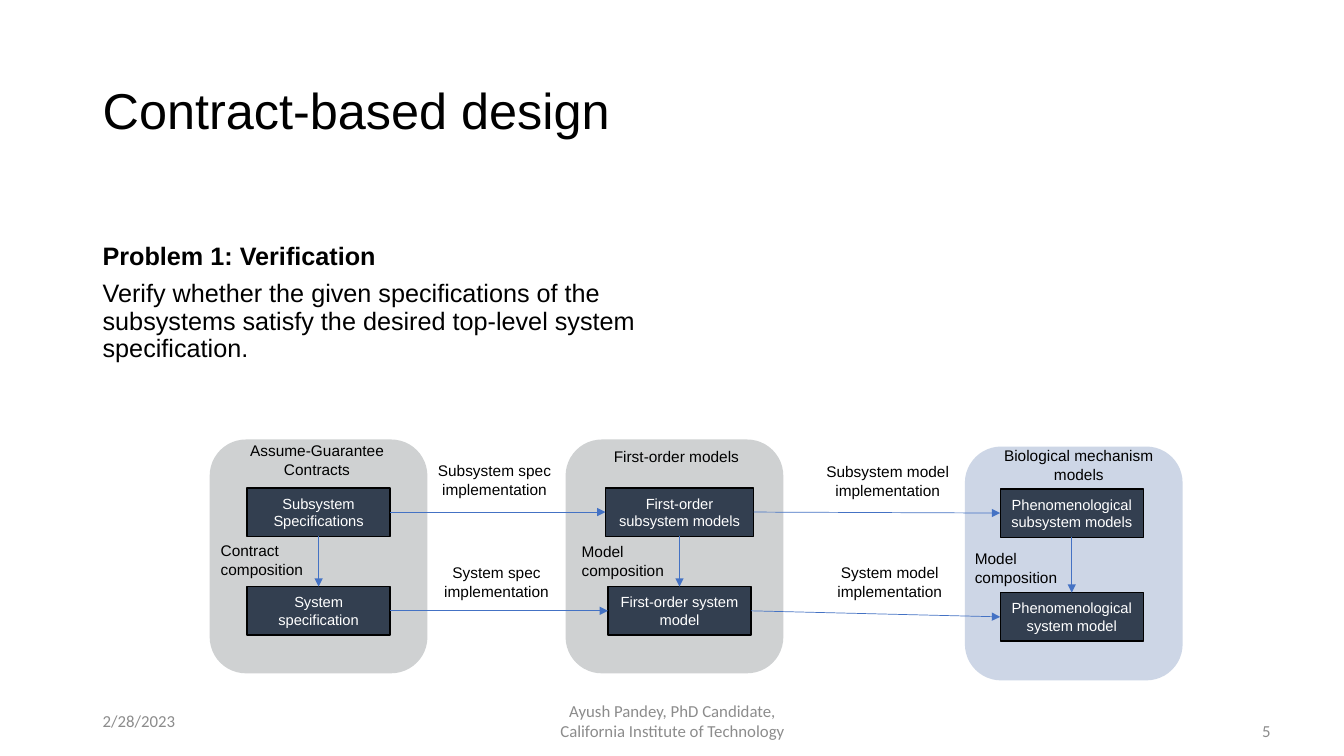
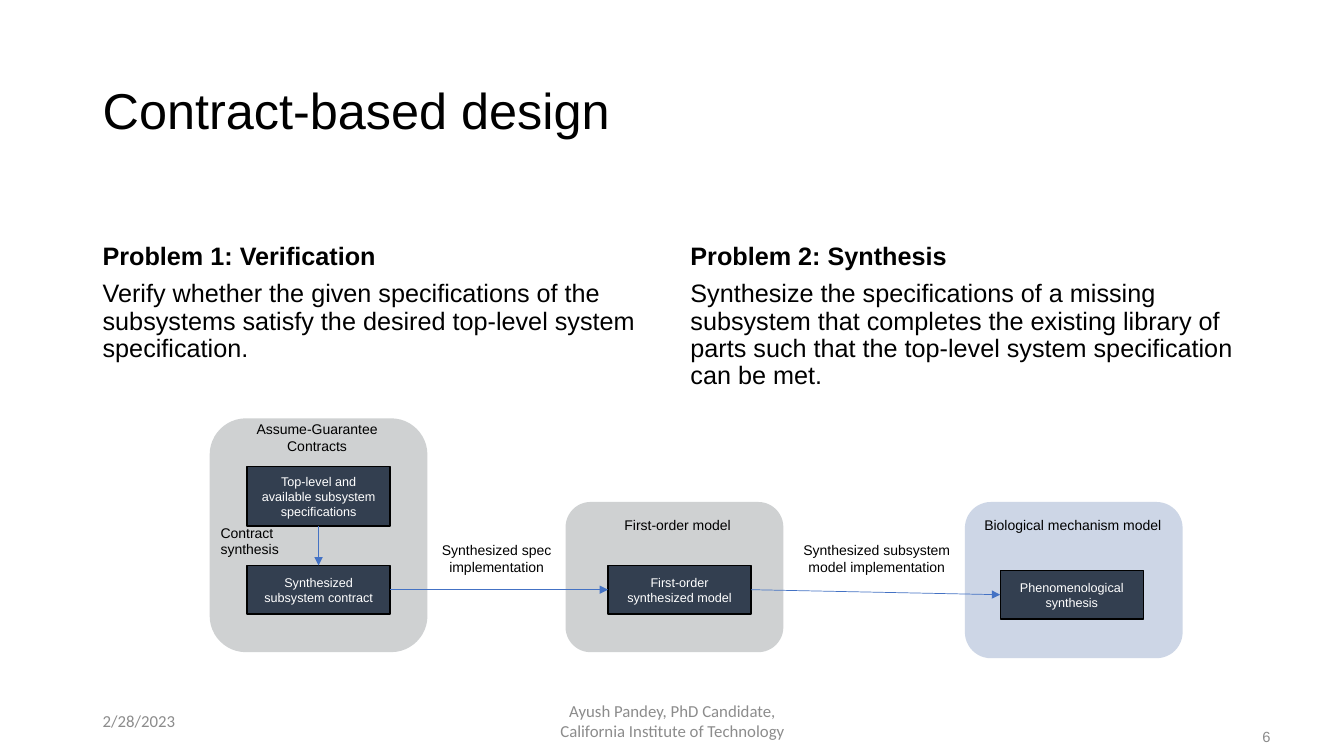
from dataclasses import dataclass

from lxml import etree
from pptx import Presentation
from pptx import util as u
from pptx.dml.color import RGBColor
from pptx.enum import shapes, text
from pptx.oxml import ns

TOP, LEFT, BOTTOM, RIGHT = range(4)
ALIGN = text.PP_ALIGN
ANCHOR = text.MSO_ANCHOR


@dataclass(frozen=True)
class Theme:
    font: str = "Arial"
    footer_font: str = "Calibri"
    ink: str = "000000"
    white: str = "FFFFFF"
    muted: str = "8C8C8C"
    box: str = "333F50"
    panel: str = "CFD1D2"
    biology: str = "2F5597"
    biology_opacity: int = 24
    arrow: str = "4472C4"
    title_size: float = 36
    body_size: float = 18
    footer_size: float = 12
    box_width: float = 1.42
    box_height: float = 0.48
    panel_width: float = 2.16
    panel_lefts: tuple = (2.08, 5.61, 9.57)
    box_centers: tuple = (3.16, 6.74, 10.63)


THEME = Theme()

VERIFICATION = (
    "Problem 1: Verification",
    "Verify whether the given specifications of the subsystems satisfy "
    "the desired top-level system specification.",
)
SYNTHESIS = (
    "Problem 2: Synthesis",
    "Synthesize the specifications of a missing subsystem that completes the "
    "existing library of parts such that the top-level system specification can be met.",
)


def write(shape, content, size, color=THEME.ink, font=THEME.font, bold=False,
          align=ALIGN.LEFT, anchor=ANCHOR.TOP, line_spacing=None, space_before=0):
    frame = shape.text_frame
    frame.text = content
    frame.word_wrap = True
    frame.vertical_anchor = anchor
    for paragraph in frame.paragraphs:
        paragraph.alignment = align
        paragraph.space_before = u.Pt(space_before)
        if line_spacing:
            paragraph.line_spacing = line_spacing
        for run in paragraph.runs:
            run.font.size = u.Pt(size)
            run.font.name = font
            run.font.bold = bold
            run.font.color.rgb = RGBColor.from_string(color)


def add_text(slide, area, content, size, **style):
    shape = slide.shapes.add_textbox(*map(u.Inches, area))
    write(shape, content, size, **style)


def add_filled(slide, preset, area, color):
    shape = slide.shapes.add_shape(preset, *map(u.Inches, area))
    shape.shadow.inherit = False
    shape.fill.solid()
    shape.fill.fore_color.rgb = RGBColor.from_string(color)
    return shape


def add_panel(slide, column, top, height, biology=False):
    area = (THEME.panel_lefts[column], top, THEME.panel_width, height)
    color = THEME.biology if biology else THEME.panel
    panel = add_filled(slide, shapes.MSO_SHAPE.ROUNDED_RECTANGLE, area, color)
    panel.line.fill.background()
    if biology:
        fill_color = panel.fill._xPr.find(".//" + ns.qn("a:srgbClr"))
        alpha = etree.SubElement(fill_color, ns.qn("a:alpha"))
        alpha.set("val", str(THEME.biology_opacity * 1000))


def add_box(slide, column, top, content, size, width=THEME.box_width,
            height=THEME.box_height):
    left = THEME.box_centers[column] - width / 2
    box = add_filled(slide, shapes.MSO_SHAPE.RECTANGLE, (left, top, width, height), THEME.box)
    box.line.color.rgb = RGBColor.from_string(THEME.ink)
    box.line.width = u.Pt(1)
    write(box, content, size, color=THEME.white, align=ALIGN.CENTER, anchor=ANCHOR.MIDDLE)
    return box


def add_arrow(slide, source, source_side, target, target_side):
    connector = slide.shapes.add_connector(shapes.MSO_CONNECTOR.STRAIGHT, 0, 0, 0, 0)
    connector.begin_connect(source, source_side)
    connector.end_connect(target, target_side)
    connector.line.color.rgb = RGBColor.from_string(THEME.arrow)
    connector.line.width = u.Pt(0.5)
    tail = etree.SubElement(connector.line._get_or_add_ln(), ns.qn("a:tailEnd"))
    tail.set("type", "triangle")
    etree.SubElement(connector._element.spPr, ns.qn("a:effectLst"))


def add_labels(slide, size, labels, align=ALIGN.CENTER):
    for left, top, width, content in labels:
        add_text(slide, (left, top, width, 0.47), content, size, align=align)


def add_problem(slide, left, width, problem):
    heading, statement = problem
    spacing = {"line_spacing": 0.9, "space_before": 10}
    add_text(slide, (left, 1.84, width, 0.9), heading, THEME.body_size,
             bold=True, anchor=ANCHOR.BOTTOM, **spacing)
    add_text(slide, (left, 2.74, width, 4.03), statement, THEME.body_size, **spacing)


def add_base_slide(presentation, number, number_top, number_size, number_font):
    slide = presentation.slides.add_slide(presentation.slide_layouts[6])
    add_text(slide, (0.92, 0.4, 11.5, 1.45), "Contract-based design", THEME.title_size,
             anchor=ANCHOR.MIDDLE, line_spacing=0.9)
    add_problem(slide, 0.92, 5.64, VERIFICATION)
    footer = {"color": THEME.muted, "anchor": ANCHOR.MIDDLE}
    add_text(slide, (0.92, 6.95, 3, 0.4), "2/28/2023", THEME.footer_size,
             font=THEME.footer_font, **footer)
    add_text(slide, (4.42, 6.95, 4.5, 0.4),
             "Ayush Pandey, PhD Candidate,\nCalifornia Institute of Technology",
             THEME.footer_size, font=THEME.footer_font, align=ALIGN.CENTER, **footer)
    add_text(slide, (11.55, number_top, 1.15, 0.4), number, number_size,
             font=number_font, align=ALIGN.RIGHT, **footer)
    return slide


def build_verification(presentation):
    slide = add_base_slide(presentation, "5", 7.05, THEME.footer_size, THEME.footer_font)
    box_size, label_size = 10.5, 11
    add_panel(slide, 0, 4.36, 2.32)
    add_panel(slide, 1, 4.36, 2.32)
    add_panel(slide, 2, 4.43, 2.32, biology=True)
    subsystems = [
        add_box(slide, 0, 4.84, "Subsystem Specifications", box_size),
        add_box(slide, 1, 4.84, "First-order subsystem models", box_size, width=1.47),
        add_box(slide, 2, 4.85, "Phenomenological subsystem models", box_size),
    ]
    systems = [
        add_box(slide, 0, 5.82, "System specification", box_size),
        add_box(slide, 1, 5.82, "First-order system model", box_size),
        add_box(slide, 2, 5.88, "Phenomenological system model", box_size),
    ]
    for subsystem, system in zip(subsystems, systems):
        add_arrow(slide, subsystem, BOTTOM, system, TOP)
    for row in (subsystems, systems):
        for source, target in zip(row, row[1:]):
            add_arrow(slide, source, RIGHT, target, LEFT)
    add_labels(slide, label_size, [
        (2.31, 4.33, 1.67, "Assume-Guarantee Contracts"),
        (5.63, 4.39, 2.16, "First-order models"),
        (9.62, 4.38, 2.16, "Biological mechanism models"),
        (4.07, 4.53, 1.67, "Subsystem spec implementation"),
        (4.09, 5.54, 1.67, "System spec implementation"),
        (7.97, 4.54, 1.67, "Subsystem model implementation"),
        (7.99, 5.54, 1.67, "System model implementation"),
    ])
    add_labels(slide, label_size, [
        (2.09, 5.32, 1.33, "Contract\ncomposition"),
        (5.67, 5.33, 1.33, "Model composition"),
        (9.57, 5.4, 1.33, "Model composition"),
    ], align=ALIGN.LEFT)


def build_synthesis(presentation):
    slide = add_base_slide(presentation, "6", 7.11, 10.5, THEME.font)
    box_size, label_size = 9, 10
    add_problem(slide, 6.75, 5.67, SYNTHESIS)
    add_panel(slide, 0, 4.15, 2.32)
    add_panel(slide, 1, 4.98, 1.49)
    add_panel(slide, 2, 4.98, 1.55, biology=True)
    available = add_box(slide, 0, 4.63, "Top-level and available subsystem specifications",
                        box_size, height=0.59)
    synthesized = [
        add_box(slide, 0, 5.61, "Synthesized subsystem contract", box_size),
        add_box(slide, 1, 5.61, "First-order synthesized model", box_size),
        add_box(slide, 2, 5.66, "Phenomenological synthesis", box_size),
    ]
    add_arrow(slide, available, BOTTOM, synthesized[0], TOP)
    for source, target in zip(synthesized, synthesized[1:]):
        add_arrow(slide, source, RIGHT, target, LEFT)
    add_labels(slide, label_size, [
        (2.31, 4.12, 1.67, "Assume-Guarantee Contracts"),
        (5.64, 5.08, 2.16, "First-order model"),
        (9.56, 5.08, 2.16, "Biological mechanism model"),
        (4.09, 5.32, 1.67, "Synthesized spec implementation"),
        (7.8, 5.32, 1.79, "Synthesized subsystem model implementation"),
    ])
    add_labels(slide, label_size, [(2.09, 5.15, 1.33, "Contract\nsynthesis")],
               align=ALIGN.LEFT)


def main():
    presentation = Presentation()
    presentation.slide_width = u.Inches(13.33)
    presentation.slide_height = u.Inches(7.5)
    build_verification(presentation)
    build_synthesis(presentation)
    presentation.save("out.pptx")


if __name__ == "__main__":
    main()
